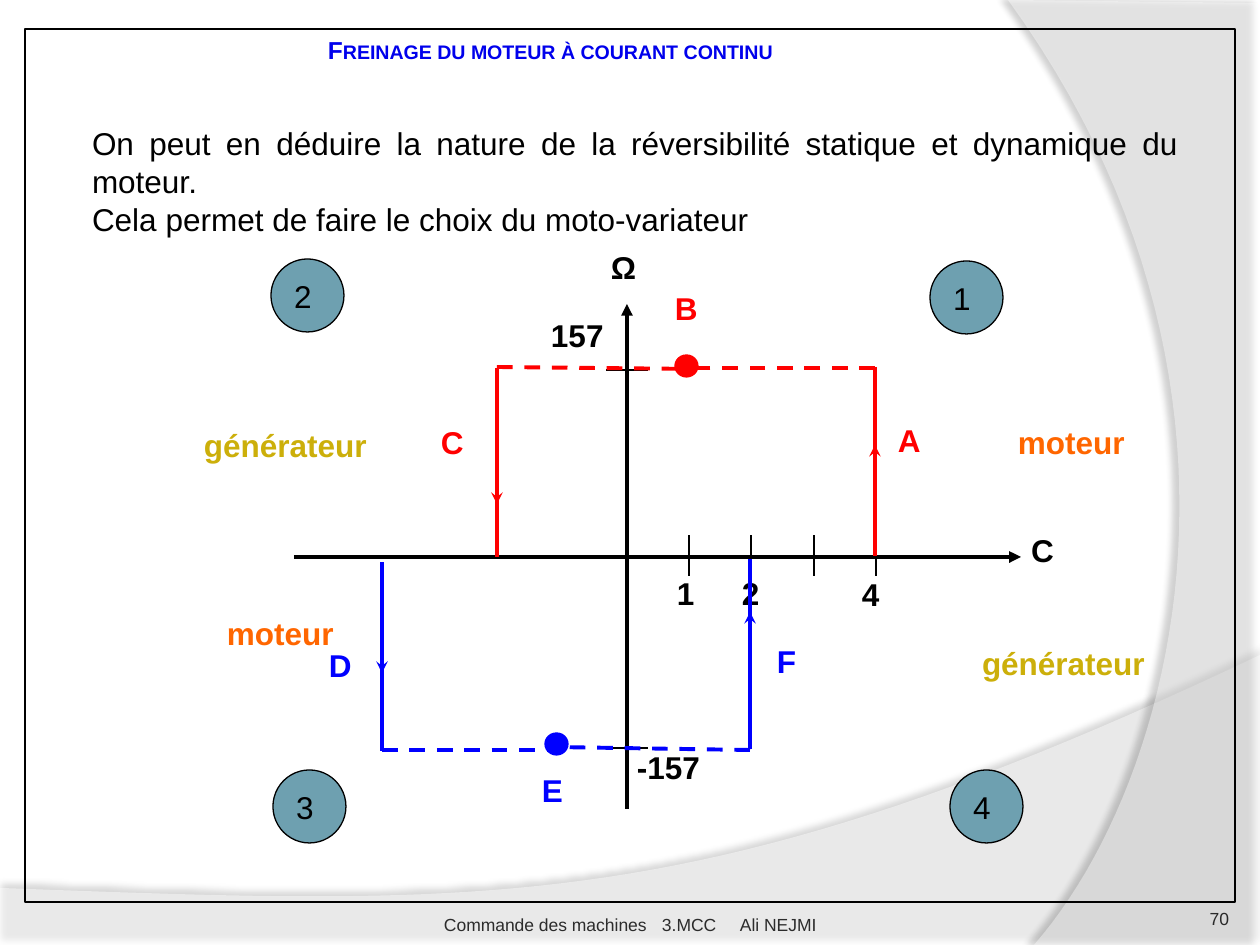
from lxml import etree
from pptx import Presentation, util as u
from pptx.dml import color
from pptx.enum import dml, shapes, text
from pptx.oxml import ns

SCALE = 914400 / 126
BLACK, RED, BLUE = "000000", "FF0000", "0000FF"
ORANGE, GOLD, TEAL = "FF6600", "CCAF0A", "6EA0B0"
INSETS = (13, 6, 13, 6)


def px(value):
    """Turn pixels into EMU."""
    return u.Emu(round(value * SCALE))


def rgb(value):
    """Turn a hex string into a colour."""
    return color.RGBColor.from_string(value)


def add_element(parent, tag, **attributes):
    """Append a drawing element with its attributes."""
    names = {name: str(value) for name, value in attributes.items()}
    return etree.SubElement(parent, ns.qn(tag), names)


def set_values(target, values):
    """Set each attribute of the target from a dict."""
    for name, value in values.items():
        setattr(target, name, value)


def style_frame(frame, insets=INSETS, anchor=text.MSO_ANCHOR.TOP):
    """Set wrapping, anchor and insets of a text frame."""
    left, top, right, bottom = map(px, insets)
    set_values(frame, {
        "word_wrap": True, "vertical_anchor": anchor,
        "margin_left": left, "margin_top": top,
        "margin_right": right, "margin_bottom": bottom,
    })


def write(paragraph, words, fill=BLACK, size=18, bold=False, align=text.PP_ALIGN.LEFT):
    """Write one formatted run into a paragraph."""
    paragraph.alignment = align
    run = paragraph.add_run()
    run.text = words
    set_values(run.font, {"name": "Arial", "size": u.Pt(size), "bold": bold})
    run.font.color.rgb = rgb(fill)
    return run


def add_text(slide, box, insets=INSETS, anchor=text.MSO_ANCHOR.TOP):
    """Add a wrapped text box and return its text frame."""
    frame = slide.shapes.add_textbox(*map(px, box)).text_frame
    style_frame(frame, insets, anchor)
    return frame


def add_label(slide, words, fill, left, top, width=48, height=50):
    """Add a bold label of the diagram."""
    frame = add_text(slide, (left, top, width, height))
    write(frame.paragraphs[0], words, fill, bold=True)


def add_shape(slide, kind, box, fill=None, line=BLACK):
    """Add a thinly outlined preset shape."""
    shape = slide.shapes.add_shape(kind, *map(px, box))
    shape.shadow.inherit = False
    if fill:
        shape.fill.solid()
        shape.fill.fore_color.rgb = rgb(fill)
    else:
        shape.fill.background()
    shape.line.color.rgb = rgb(line)
    shape.line.width = u.Pt(0.75)
    return shape


def add_quadrant(slide, number, left, top):
    """Add a numbered quadrant circle."""
    shape = add_shape(slide, shapes.MSO_SHAPE.OVAL, (left, top, 73, 73), TEAL)
    style_frame(shape.text_frame, (0, 0, 9, 0), text.MSO_ANCHOR.MIDDLE)
    write(shape.text_frame.paragraphs[0], number, align=text.PP_ALIGN.CENTER)


def add_line(slide, ends, fill=BLACK, width=2.25, head=None, dashed=False):
    """Add a straight line, dashed or with an arrowhead on request."""
    connector = slide.shapes.add_connector(shapes.MSO_CONNECTOR.STRAIGHT, *map(px, ends))
    connector.line.color.rgb = rgb(fill)
    connector.line.width = u.Pt(width)
    if dashed:
        connector.line.dash_style = dml.MSO_LINE.DASH
    if head:
        add_element(connector.line._get_or_add_ln(), "a:tailEnd", type=head)
    add_element(connector._element.spPr, "a:effectLst")


def bezier(start, first, second, end, steps=48):
    """Return points along a cubic curve."""
    points = []
    for step in range(1, steps + 1):
        t = step / steps
        weights = ((1 - t) ** 3, 3 * t * (1 - t) ** 2, 3 * t * t * (1 - t), t ** 3)
        corners = (start, first, second, end)
        points.append(tuple(sum(w * c[axis] for w, c in zip(weights, corners)) for axis in (0, 1)))
    return points


def add_wave(slide, corners, curve, opacity, shade, distance, direction):
    """Add a translucent white background wave with a soft shadow."""
    points = corners + bezier(corners[-1], *curve)
    points = [(px(x), px(y)) for x, y in points]
    builder = slide.shapes.build_freeform(*points[0], scale=1.0)
    builder.add_line_segments(points[1:], close=True)
    shape = builder.convert_to_shape()
    shape.fill.solid()
    shape.fill.fore_color.rgb = rgb("FFFFFF")
    shape.line.fill.background()
    properties = shape._element.spPr
    white = properties.find(".//" + ns.qn("a:srgbClr"))
    add_element(white, "a:alpha", val=opacity * 1000)
    effects = add_element(properties, "a:effectLst")
    shadow = add_element(effects, "a:outerShdw", blurRad=u.Pt(4), dist=u.Pt(distance),
                         dir=direction * 60000, algn="ctr", rotWithShape=0)
    add_element(add_element(shadow, "a:srgbClr", val=BLACK), "a:alpha", val=shade * 1000)


def add_background(slide):
    """Add both background waves."""
    add_wave(slide, [(0, 888), (0, 945), (1260, 945), (1260, 655)],
             [(704, 919), (493, 906), (0, 888)], 45, 35, 3.5, 270)
    add_wave(slide, [(1008, 0), (1260, 3), (1260, 945), (1034, 945)],
             [(1178, 780), (1283, 378), (1008, 0)], 40, 45, 4, 180)


def add_wording(slide):
    """Add the footer, page number and introduction."""
    footer = add_text(slide, (444, 885, 386, 50), (0, 6, 0, 0), text.MSO_ANCHOR.BOTTOM)
    stops = add_element(footer.paragraphs[0]._p.get_or_add_pPr(), "a:tabLst")
    for stop in (218, 296):
        add_element(stops, "a:tab", pos=px(stop), algn="l")
    write(footer.paragraphs[0], "Commande des machines\t3.MCC\tAli NEJMI", "2C2C2C", 10)
    page = add_text(slide, (1124, 885, 105, 50), (0, 6, 0, 6), text.MSO_ANCHOR.BOTTOM)
    write(page.paragraphs[0], "70", "292929", 10, align=text.PP_ALIGN.RIGHT)
    body = add_text(slide, (79, 118, 1112, 165))
    write(body.paragraphs[0], "On peut en déduire la nature de la réversibilité statique et "
          "dynamique du moteur.", align=text.PP_ALIGN.JUSTIFY)
    write(body.add_paragraph(), "Cela permet de faire le choix du moto-variateur",
          align=text.PP_ALIGN.JUSTIFY)


def add_axes(slide):
    """Add the axes, their ticks and values, and the quadrant names."""
    for ends in ((627, 809, 627, 304), (294, 557, 1021, 557)):
        add_line(slide, ends, head="triangle")
    for number, left, top in (("1", 930, 261), ("3", 273, 770), ("2", 271, 259), ("4", 950, 770)):
        add_quadrant(slide, number, left, top)
    for label in (
        ("moteur", ORANGE, 1005, 417, 186), ("générateur", GOLD, 969, 638, 220),
        ("moteur", ORANGE, 214, 608, 199), ("générateur", GOLD, 191, 420, 230),
        ("Ω", BLACK, 598, 242, 103), ("C", BLACK, 1018, 525, 94),
        ("4", BLACK, 849, 569, 60), ("2", BLACK, 729, 568, 60), ("1", BLACK, 664, 568, 60),
        ("157", BLACK, 538, 310, 105), ("-157", BLACK, 624, 742, 105),
    ):
        add_label(slide, *label)
    for tick in range(4):
        x = 689 + round(tick * 62.4)
        add_line(slide, (x, 576, x, 535), width=0.75)
    for y in (370, 748):
        add_line(slide, (648, y, 606, y), width=0.75)


def add_cycle(slide):
    """Add the braking cycle from A to F."""
    for fill, left, top in ((RED, 675, 355), (BLUE, 545, 733)):
        add_shape(slide, shapes.MSO_SHAPE.OVAL, (left, top, 23, 22), fill, fill)
    for fill, x, start, end, arrow_start, arrow_end in (
        (RED, 875, 367, 556, 476, 445), (RED, 497, 557, 368, 473, 504),
        (BLUE, 382, 751, 562, 641, 673), (BLUE, 750, 559, 749, 644, 612),
    ):
        add_line(slide, (x, start, x, end), fill)
        add_line(slide, (x, arrow_start, x, arrow_end), fill, head="stealth")
    for fill, ends in ((RED, (875, 368, 692, 368)), (RED, (497, 367, 695, 369)),
                       (BLUE, (382, 750, 565, 750)), (BLUE, (750, 750, 552, 747))):
        add_line(slide, ends, fill, dashed=True)
    for label in (("A", RED, 885, 415), ("B", RED, 662, 283), ("C", RED, 428, 417),
                  ("D", BLUE, 316, 640), ("E", BLUE, 529, 765), ("F", BLUE, 764, 636)):
        add_label(slide, *label)


def add_title(slide):
    """Add the page frame and the small-capitals title."""
    add_shape(slide, shapes.MSO_SHAPE.RECTANGLE, (25, 29, 1210, 873))
    frame = add_text(slide, (315, 29, 485, 43))
    run = write(frame.paragraphs[0], "Freinage du moteur à courant continu", "0000EC", 14, True)
    run._r.get_or_add_rPr().set("cap", "small")


def main():
    """Build and save the slide."""
    presentation = Presentation()
    set_values(presentation, {"slide_width": px(1260), "slide_height": px(945)})
    slide = presentation.slides.add_slide(presentation.slide_layouts[6])
    for build in (add_background, add_wording, add_axes, add_cycle, add_title):
        build(slide)
    presentation.save("out.pptx")


if __name__ == "__main__":
    main()
